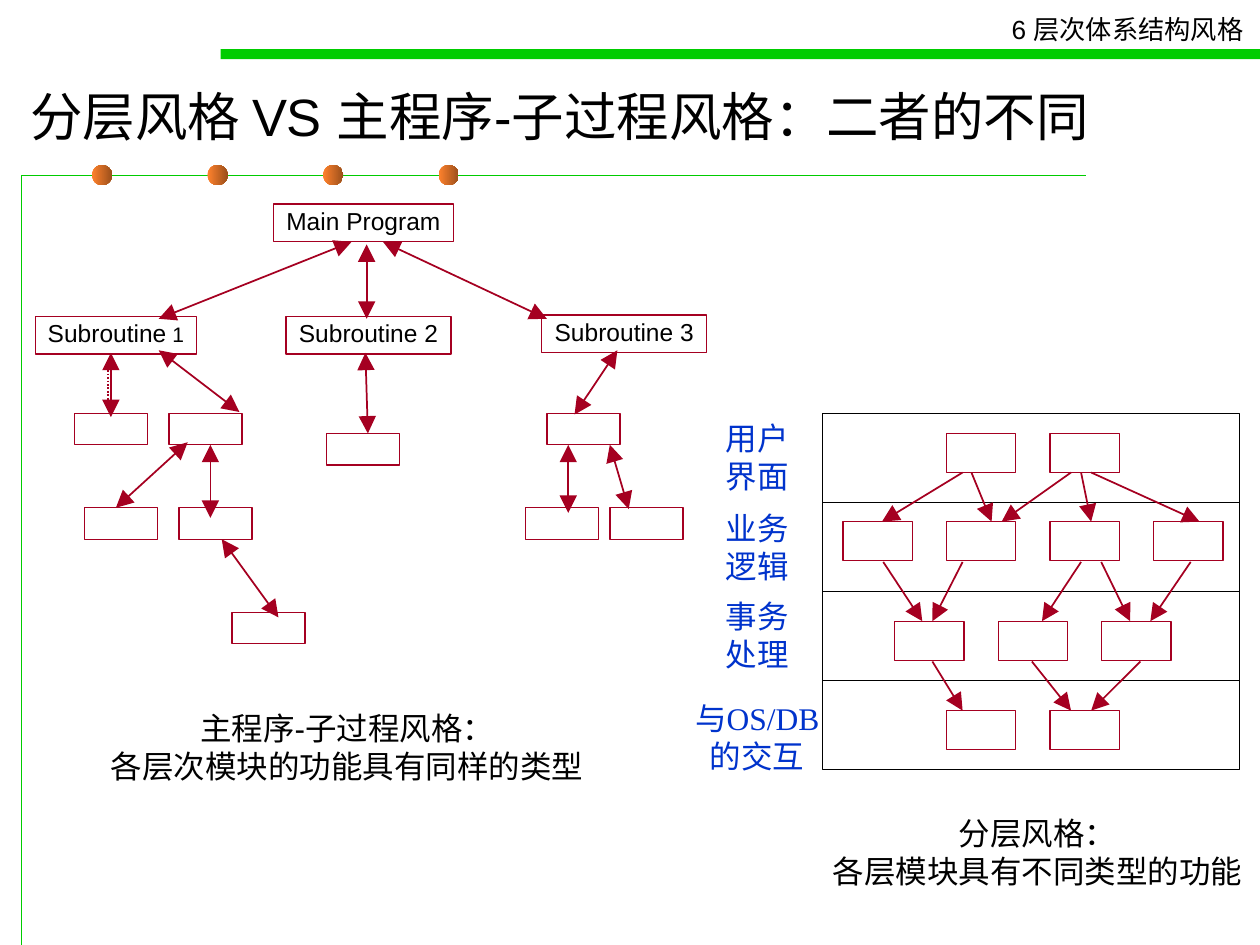
from lxml import etree
from pptx import Presentation
from pptx.dml.color import RGBColor
from pptx.enum import dml, shapes, text
from pptx.oxml.ns import qn
from pptx.util import Inches, Pt

C = {"green": "00CC00", "red": "A50021", "black": "000000", "blue": "0033CC",
     "orange": "FF822D", "brown": "9B4F1B"}
RECT = shapes.MSO_SHAPE.RECTANGLE
CENTER, LEFT = text.PP_ALIGN.CENTER, text.PP_ALIGN.LEFT

prs = Presentation()
prs.slide_width, prs.slide_height = Inches(10), Inches(7.5)
s = prs.slides.add_slide(prs.slide_layouts[5])


def box(x, y, w, h, color):
    sp = s.shapes.add_shape(RECT, Inches(x), Inches(y), Inches(w), Inches(h))
    sp.shadow.inherit = False
    sp.fill.background()
    sp.line.color.rgb = RGBColor.from_string(C[color])
    sp.line.width = Pt(0.74)
    return sp


def write(sp, lines, size, color="black", font="Arial", align=CENTER, wrap=False, spacing=None):
    tf = sp.text_frame
    tf.word_wrap = wrap
    tf.text = lines
    for p in tf.paragraphs:
        p.alignment = align
        p.line_spacing = spacing
        p.font.size = Pt(size)
        p.font.name = font
        p.font.color.rgb = RGBColor.from_string(C[color])


fb = s.shapes.build_freeform(17, 750, scale=Inches(0.01))
fb.add_line_segments([(17, 139), (862, 139)], close=False)
frame = fb.convert_to_shape()
frame.shadow.inherit = False
frame.fill.background()
frame.line.color.rgb = RGBColor.from_string(C["green"])
frame.line.width = Pt(0.74)

for i in range(4):
    dot = s.shapes.add_shape(shapes.MSO_SHAPE.OVAL, Inches(0.73 + i * 0.917), Inches(1.31),
                             Inches(0.16), Inches(0.16))
    dot.shadow.inherit = False
    dot.line.fill.background()
    dot.fill.gradient()
    dot.fill.gradient_angle = 0
    for stop, name in zip(dot.fill.gradient_stops, ("orange", "brown")):
        stop.color.rgb = RGBColor.from_string(C[name])

bar = box(1.75, 0.39, 8.25, 0.08, "green")
bar.fill.solid()
bar.fill.fore_color.rgb = RGBColor.from_string(C["green"])
bar.line.fill.background()

title = s.shapes.title
title.left, title.top, title.width, title.height = map(Inches, (0.14, 0.56, 9.29, 0.71))
write(title, "分层风格 VS 主程序-子过程风格：二者的不同", 30, align=LEFT, wrap=True)
title.text_frame.vertical_anchor = text.MSO_ANCHOR.MIDDLE

for x, y, w, label in [(2.17, 1.62, 1.43, "Main Program"), (0.28, 2.51, 1.28, "Subroutine"),
                       (2.27, 2.51, 1.31, "Subroutine 2"), (4.3, 2.5, 1.31, "Subroutine 3")]:
    sp = box(x, y, w, 0.3, "red")
    write(sp, label, 14, spacing=0.85)
    if label == "Subroutine":
        r = sp.text_frame.paragraphs[0].add_run()
        r.text = " 1"
        r.font.size = Pt(12)

for x, y in [(0.59, 3.28), (1.34, 3.28), (4.34, 3.28), (2.59, 3.44), (0.67, 4.03),
             (1.42, 4.03), (4.17, 4.03), (4.84, 4.03), (1.84, 4.86)]:
    box(x, y, 0.58, 0.25, "red")

for i in range(4):
    box(6.53, 3.28 + i * 0.707, 3.31, 0.707, "black")

for y, columns in [(3.44, (2, 4)), (4.14, (0, 2, 4, 6)), (4.93, (1, 3, 5)), (5.64, (2, 4))]:
    for column in columns:
        box(6.69 + column * 0.411, y, 0.55, 0.31, "red")

calls = [(2.79, 1.92, 1.26, 2.53), (3.04, 1.92, 4.34, 2.53), (2.91, 1.94, 2.91, 2.53),
         (4.84, 3.53, 4.99, 4.04), (4.51, 3.53, 4.51, 4.07), (1.67, 3.53, 1.67, 4.11),
         (1.49, 3.51, 0.92, 4.03), (1.76, 4.28, 2.21, 4.9), (0.88, 2.8, 0.88, 3.31),
         (1.26, 2.78, 1.9, 3.27), (2.9, 2.8, 2.92, 3.44), (4.9, 2.78, 4.56, 3.29)]
dotted = [(0.86, 2.91, 0.86, 3.22)]
layer_gaps = [
    (3.75, 4.14, [(7.64, 7), (8.66, 9.52), (7.71, 7.87), (8.5, 7.95), (8.58, 8.66)]),
    (4.46, 4.93, [(7.64, 7.4), (7.01, 7.32), (8.58, 8.27), (9.45, 9.13), (8.74, 8.97)]),
    (5.25, 5.64, [(7.4, 7.64), (8.19, 8.5), (9.05, 8.66)])]
uses = [(x1, y1, x2, y2) for y1, y2, pairs in layer_gaps for x1, x2 in pairs]

for lines, ends in [(calls, ("headEnd", "tailEnd")), (dotted, ()), (uses, ("tailEnd",))]:
    for points in lines:
        cx = s.shapes.add_connector(shapes.MSO_CONNECTOR.STRAIGHT, *map(Inches, points))
        cx.line.color.rgb = RGBColor.from_string(C["red"])
        cx.line.width = Pt(0.99)
        if not ends:
            cx.line.dash_style = dml.MSO_LINE.ROUND_DOT
        spPr = cx._element.spPr
        for end in ends:
            etree.SubElement(spPr.find(qn("a:ln")), qn("a:" + end), type="triangle",
                             w="lg", len="lg")
        etree.SubElement(spPr, qn("a:effectLst"))

for x, y, w, h, lines, size, color, font in [
        (7.93, 0.06, 2.09, 0.35, "6 层次体系结构风格", 15, "black", "Arial"),
        (0.78, 5.58, 3.95, 0.7, "主程序-子过程风格：\n各层次模块的功能具有同样的类型", 18, "black", "Arial"),
        (6.51, 6.41, 3.45, 0.7, "分层风格：\n各层模块具有不同类型的功能", 18, "black", "Arial"),
        (5.66, 3.28, 0.7, 0.7, "用户\n界面", 18, "blue", "Times New Roman"),
        (5.66, 3.99, 0.7, 0.7, "业务\n逻辑", 18, "blue", "Times New Roman"),
        (5.66, 4.69, 0.7, 0.7, "事务\n处理", 18, "blue", "Times New Roman"),
        (5.31, 5.5, 1.4, 0.7, "与OS/DB\n的交互", 18, "blue", "Times New Roman")]:
    tb = s.shapes.add_textbox(Inches(x), Inches(y), Inches(w), Inches(h))
    write(tb, lines, size, color, font, CENTER if "\n" in lines else LEFT)

prs.save("out.pptx")
